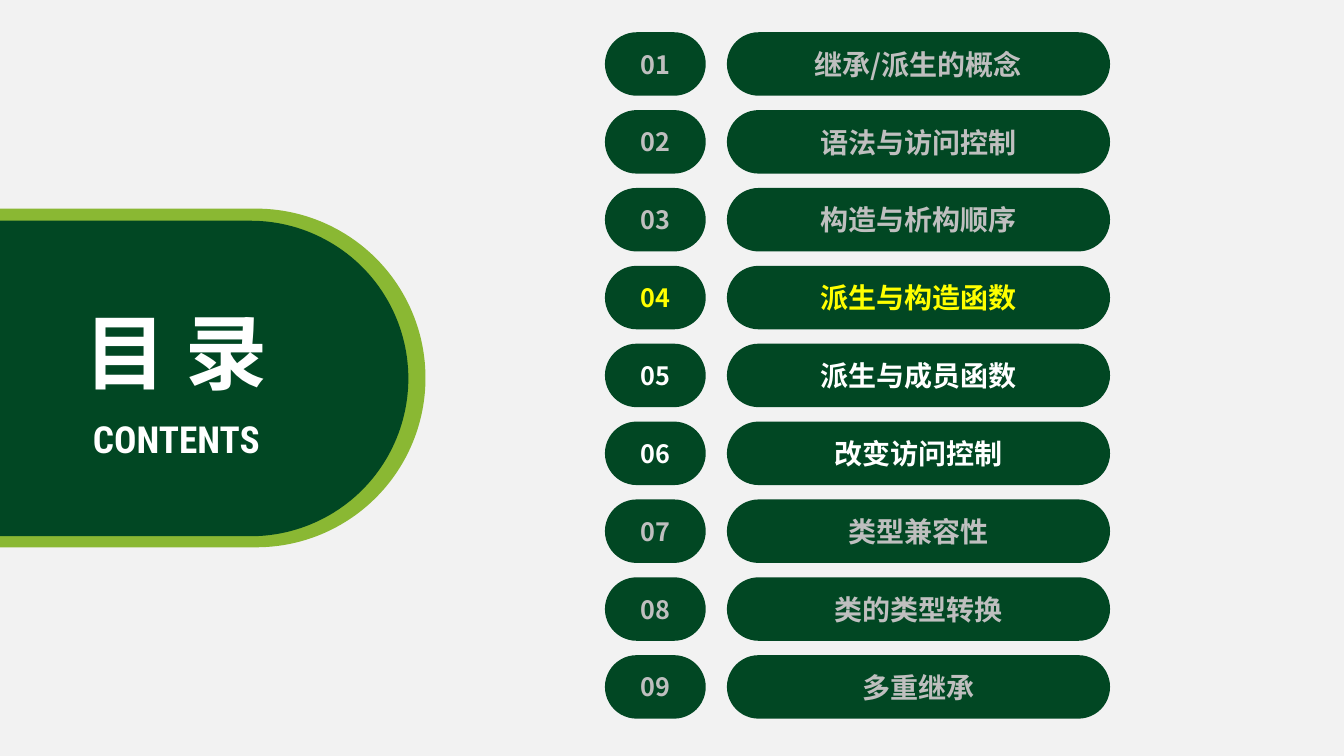
from lxml import etree
from pptx import Presentation
from pptx.dml.color import RGBColor
from pptx.enum import shapes, text
from pptx.oxml import ns
from pptx.util import Inches, Pt

SANS = "Noto Sans CJK SC"
CONDENSED = "Roboto Condensed"
GREEN, LIME, PAPER = "014723", "8AB833", "F2F2F2"
GREY, YELLOW, WHITE = "BFBFBF", "FFFF00", "FFFFFF"

CHAPTERS = [
    ("继承/派生的概念", GREY),
    ("语法与访问控制", GREY),
    ("构造与析构顺序", GREY),
    ("派生与构造函数", YELLOW),
    ("派生与成员函数", WHITE),
    ("改变访问控制", WHITE),
    ("类型兼容性", GREY),
    ("类的类型转换", GREY),
    ("多重继承", GREY),
]
FIRST_TOP, LAST_TOP = 0.32, 6.5
ROW_STEP = (LAST_TOP - FIRST_TOP) / (len(CHAPTERS) - 1)
ROW_HEIGHT = 0.63


def colour(value):
    return RGBColor.from_string(value)


def write(box, words, size, ink, font=SANS, wrap=True):
    """Put one bold, centred line of text in the middle of a shape."""
    frame = box.text_frame
    frame.auto_size = text.MSO_AUTO_SIZE.NONE
    frame.word_wrap = wrap
    frame.vertical_anchor = text.MSO_ANCHOR.MIDDLE
    para = frame.paragraphs[0]
    para.alignment = text.PP_ALIGN.CENTER
    span = para.add_run()
    span.text = words
    span.font.size = Pt(size)
    span.font.bold = True
    span.font.name = font
    span.font.color.rgb = colour(ink)
    # East Asian glyphs take their typeface from a separate element
    etree.SubElement(span.font._element, ns.qn("a:ea"), typeface=font)


class ContentsPage:
    def __init__(self, deck):
        self.page = deck.slides.add_slide(deck.slide_layouts[5])
        background = self.page.background.fill
        background.solid()
        background.fore_color.rgb = colour(PAPER)

    def pill(self, left, top, width, height, fill=GREEN):
        box = self.page.shapes.add_shape(
            shapes.MSO_SHAPE.ROUNDED_RECTANGLE,
            Inches(left), Inches(top), Inches(width), Inches(height))
        box.adjustments[0] = 0.5
        box.shadow.inherit = False
        box.fill.solid()
        box.fill.fore_color.rgb = colour(fill)
        box.line.fill.background()
        return box

    def title(self, words, left, top, width, height, size):
        """Fill the title placeholder and bring it in front of the shapes."""
        box = self.page.shapes.title
        box.left, box.top = Inches(left), Inches(top)
        box.width, box.height = Inches(width), Inches(height)
        write(box, words, size, WHITE, wrap=False)
        box.element.getparent().append(box.element)

    def label(self, words, left, top, width, height, size, font):
        box = self.page.shapes.add_textbox(
            Inches(left), Inches(top), Inches(width), Inches(height))
        write(box, words, size, WHITE, font, wrap=False)

    def chapter(self, number, name, ink):
        top = FIRST_TOP + (number - 1) * ROW_STEP
        write(self.pill(6, top, 1, ROW_HEIGHT), f"{number:02}", 18, ink)
        write(self.pill(7.21, top, 3.8, ROW_HEIGHT), name, 20, ink)


def main():
    deck = Presentation()
    deck.slide_width, deck.slide_height = Inches(13.33), Inches(7.5)
    contents = ContentsPage(deck)
    contents.pill(-1.96, 2.07, 6.18, 3.36, LIME)
    contents.pill(-1.7, 2.19, 5.75, 3.13)
    contents.title("目 录", 0.7, 2.93, 2.09, 1.09, 58.6)
    contents.label("CONTENTS", 0.62, 4.08, 2.26, 0.55, 26.6, CONDENSED)
    for number, (name, ink) in enumerate(CHAPTERS, 1):
        contents.chapter(number, name, ink)
    deck.save("out.pptx")


if __name__ == "__main__":
    main()
